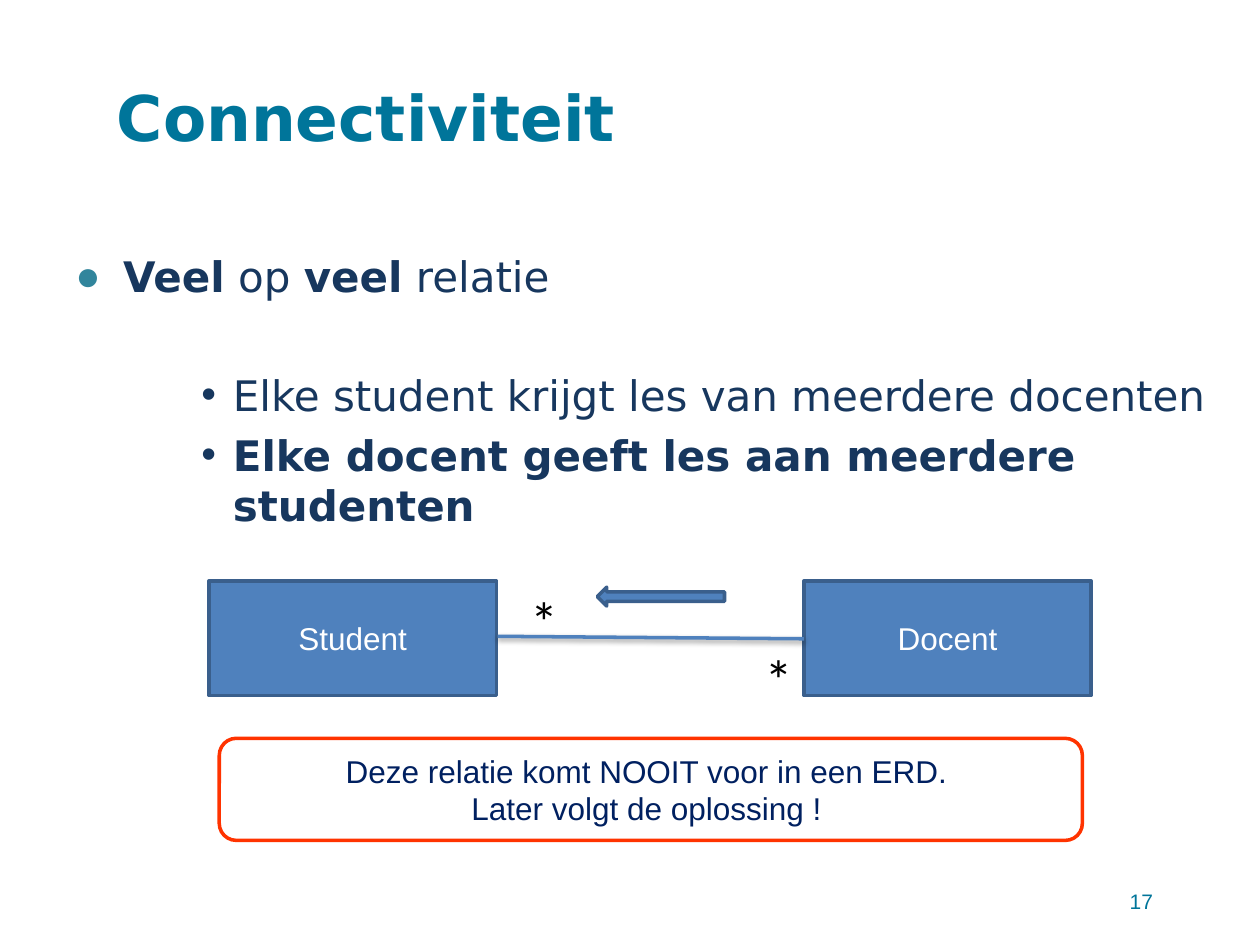
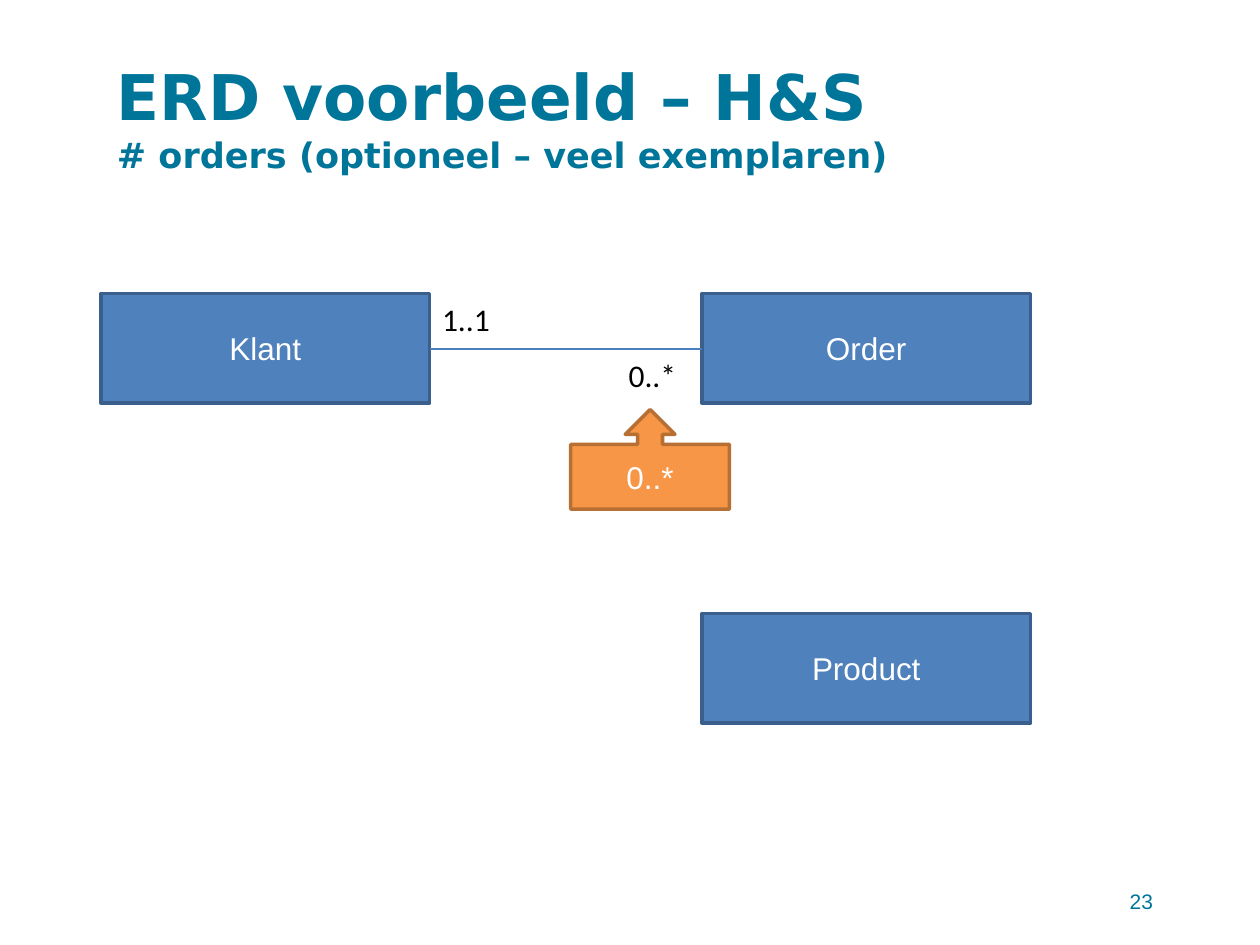
from dataclasses import dataclass
from lxml import etree
from pptx import Presentation
from pptx.dml.color import RGBColor as Rgb
from pptx.enum.shapes import MSO_CONNECTOR as Link, MSO_SHAPE as Kind
from pptx.enum.text import MSO_ANCHOR as Anchor, PP_ALIGN as Align
from pptx.oxml import parse_xml
from pptx.oxml.ns import nsdecls, qn
from pptx.util import Inches, Pt


@dataclass(frozen=True)
class Theme:
    teal: str = "00759A"
    navy: str = "17375E"
    ink: str = "002060"
    dot: str = "31859C"
    blue: str = "4F81BD"
    edge: str = "3A5F8C"
    thin: str = "4B7EBC"
    gold: str = "F79646"
    rust: str = "B76F34"
    red: str = "FF3300"
    white: str = "FFFFFF"
    black: str = "000000"
    head: str = "DejaVu Sans"
    sans: str = "Arial"
    label: str = "Calibri"
    title: int = 36
    star: int = 32
    body: int = 24
    sub: int = 20
    text: int = 18
    foot: int = 12


look = Theme()


def put(page, text, at, kind=None, fill=None, line=None, font=look.sans, size=look.text,
        color=look.white, bold=False, align=Align.LEFT, anchor=Anchor.TOP):
    place = [Inches(n) for n in at]
    if kind is None:
        shape = page.shapes.add_textbox(*place)
    else:
        shape = page.shapes.add_shape(kind, *place)
        shape.shadow.inherit = False
        if fill:
            shape.fill.solid()
            shape.fill.fore_color.rgb = Rgb.from_string(fill)
        else:
            shape.fill.background()
        shape.line.color.rgb = Rgb.from_string(line)
        shape.line.width = Pt(2)
    frame = shape.text_frame
    frame.word_wrap = True
    frame.vertical_anchor = anchor
    rows = [text] if isinstance(text, str) else text
    for i, row in enumerate(rows):
        para = frame.add_paragraph() if i else frame.paragraphs[0]
        para.alignment = align
        for part in [(row, {})] if isinstance(row, str) else row:
            words, own = part
            run = para.add_run()
            run.text = words
            run.font.name = font
            run.font.size = Pt(own.get("size", size))
            run.font.bold = own.get("bold", bold)
            run.font.color.rgb = Rgb.from_string(color)
    return shape


def join(page, start, end, color, width):
    wire = page.shapes.add_connector(Link.STRAIGHT, *[Inches(n) for n in start + end])
    wire.line.color.rgb = Rgb.from_string(color)
    wire.line.width = Pt(width)
    return etree.SubElement(wire._element.spPr, qn("a:effectLst"))


box = dict(kind=Kind.RECTANGLE, fill=look.blue, line=look.edge,
           align=Align.CENTER, anchor=Anchor.MIDDLE)
mark = dict(font=look.label, color=look.black)
strong = dict(bold=True)

deck = Presentation()
deck.slide_width, deck.slide_height = Inches(10), Inches(7.5)

heads = [
    (["Connectiviteit"], "17"),
    (["ERD voorbeeld – H&S",
      [("# orders (optioneel – veel exemplaren)", dict(size=look.sub))]], "23"),
]
pages = []
for title, number in heads:
    page = deck.slides.add_slide(deck.slide_layouts[6])
    put(page, title, (0.83, 0.3, 8.67, 1.25), font=look.head, size=look.title,
        color=look.teal, bold=True, anchor=Anchor.MIDDLE)
    put(page, number, (6.92, 6.95, 2.33, 0.4), size=look.foot, color=look.teal,
        align=Align.RIGHT, anchor=Anchor.MIDDLE)
    pages.append(page)
many, order = pages

points = put(many, [
    [("Veel", strong), (" op ", {}), ("veel", strong), (" relatie", {})],
    "Elke student krijgt les van meerdere docenten",
    [("Elke docent geeft les aan meerdere studenten", strong)],
], (0.5, 1.94, 9.5, 4.33), font=look.head, size=look.body, color=look.navy)
steps = [(0.38, 0.38, 0, "●", look.dot),
         (1.25, 0.25, 39, "•", look.navy),
         (1.25, 0.25, 5.5, "•", look.navy)]
for para, (left, hang, gap, sign, tint) in zip(points.text_frame.paragraphs, steps):
    para.space_before = Pt(gap)
    props = para._p.get_or_add_pPr()
    props.set("marL", str(Inches(left)))
    props.set("indent", str(-Inches(hang)))
    paint = etree.SubElement(props, qn("a:buClr"))
    etree.SubElement(paint, qn("a:srgbClr"), val=tint)
    etree.SubElement(props, qn("a:buFont"), typeface=look.sans)
    etree.SubElement(props, qn("a:buChar"), char=sign)

for name, left in [("Student", 1.66), ("Docent", 6.38)]:
    put(many, name, (left, 4.61, 2.28, 0.91), **box)
glow = join(many, (3.95, 5.05), (6.38, 5.07), look.blue, 2)
glow.append(parse_xml(
    f'<a:outerShdw {nsdecls("a")} blurRad="{Pt(3.1)}" dist="{Pt(1.6)}" dir="5400000" '
    f'rotWithShape="0"><a:srgbClr val="{look.black}"><a:alpha val="38000"/>'
    '</a:srgbClr></a:outerShdw>'))
for left, top in [(4.11, 4.61), (5.97, 5.07)]:
    put(many, "*", (left, top, 0.41, 0.64), size=look.star, **mark)
put(many, [], (4.74, 4.66, 1.01, 0.15), **{**box, "kind": Kind.LEFT_ARROW})
put(many, ["Deze relatie komt NOOIT voor in een ERD. ", "Later volgt de oplossing ! "],
    (1.74, 5.86, 6.85, 0.81), kind=Kind.ROUNDED_RECTANGLE, line=look.red,
    color=look.ink, align=Align.CENTER, anchor=Anchor.MIDDLE)

for name, left, top in [("Klant", 0.8, 2.33), ("Order", 5.57, 2.33), ("Product", 5.57, 4.87)]:
    put(order, name, (left, top, 2.61, 0.87), **box)
join(order, (3.41, 2.77), (5.57, 2.77), look.thin, 0.75)
for text, left, top, width in [("1..1", 3.41, 2.33, 0.68), ("0..*", 4.89, 2.78, 0.79)]:
    put(order, text, (left, top, width, 0.4), **mark)
put(order, "0..*", (4.53, 3.25, 1.26, 0.79),
    **{**box, "kind": Kind.UP_ARROW_CALLOUT, "fill": look.gold, "line": look.rust})

deck.save("out.pptx")
